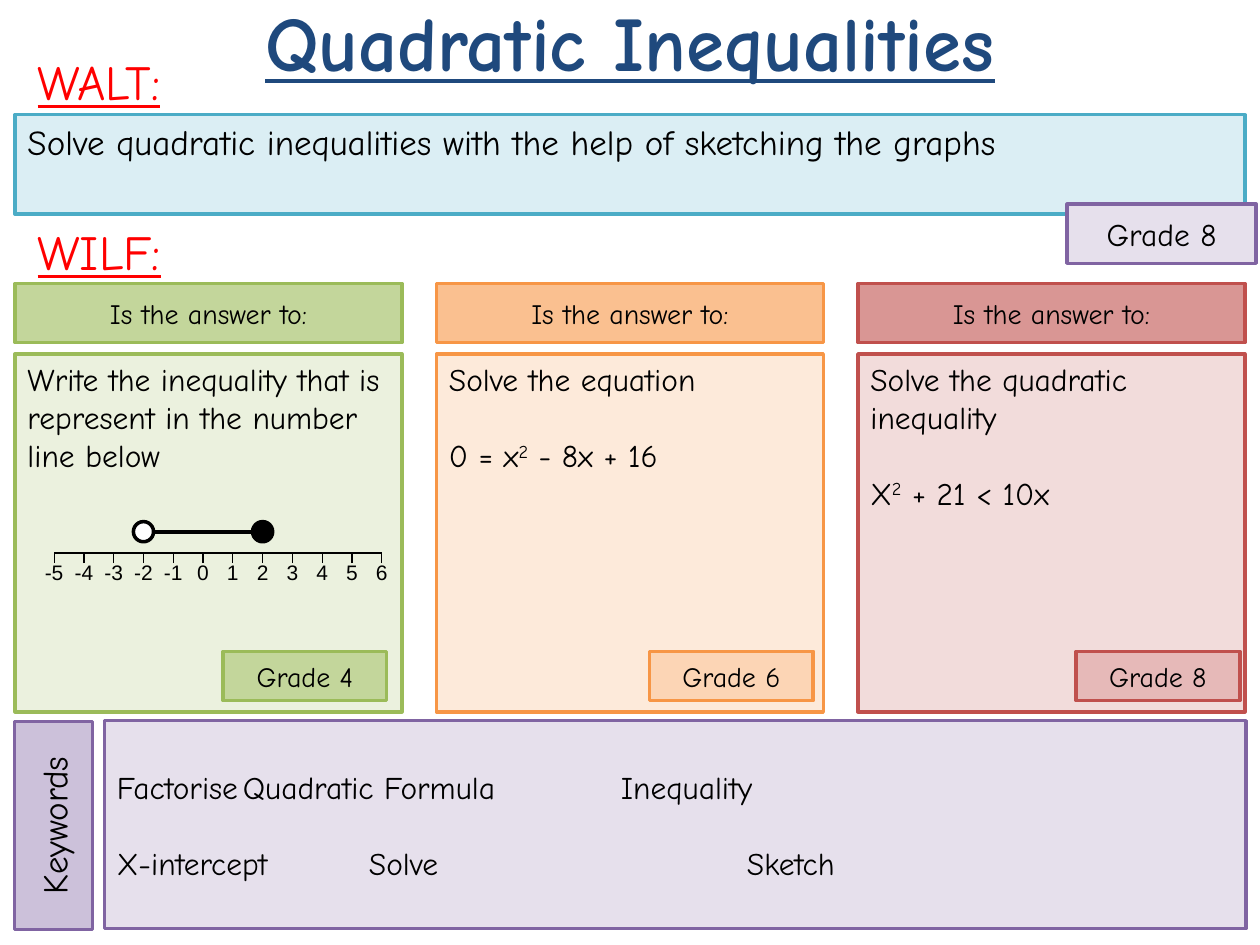
from dataclasses import dataclass

from lxml import etree
from pptx import Presentation
from pptx.dml.color import RGBColor
from pptx.enum.shapes import MSO_CONNECTOR, MSO_SHAPE
from pptx.enum.text import MSO_ANCHOR, PP_ALIGN
from pptx.oxml.ns import qn
from pptx.util import Inches, Pt

RECT, OVAL = MSO_SHAPE.RECTANGLE, MSO_SHAPE.OVAL
STRAIGHT = MSO_CONNECTOR.STRAIGHT
LEFT, CENTER = PP_ALIGN.LEFT, PP_ALIGN.CENTER
TOP, MIDDLE = MSO_ANCHOR.TOP, MSO_ANCHOR.MIDDLE


@dataclass(frozen=True)
class Theme:
    font: str = "Comic Neue"
    number_font: str = "Arial"
    black: str = "000000"
    white: str = "FFFFFF"
    title: str = "1F497D"
    heading: str = "FF0000"
    purple: tuple = ("8064A2", "CCC1DA", "E6E0EC")  # line, dark, light
    aqua: tuple = ("4BACC6", "DBEEF4")  # line, fill
    title_size: int = 44
    heading_size: int = 28
    large: int = 20
    body: int = 18
    small: int = 16
    tick: int = 12
    blank_line: float = 21.7
    border: int = 2


THEME = Theme()

# line, header fill, body fill, badge fill, grade, paragraphs (runs; ^ marks superscript)
PANELS = [
    ("9BBB59", "C3D69B", "EBF1DE", "C3D69B", "Grade 4",
     [["Write the inequality that is represent in the number line below"]]),
    ("F79646", "FAC090", "FDEADA", "FCD5B5", "Grade 6",
     [["Solve the equation"], ["0 = x", "^2", " - 8x + 16"]]),
    ("C0504D", "D99694", "F2DCDB", "E6B9B8", "Grade 8",
     [["Solve the quadratic inequality"], ["X", "^2", " + 21 < 10x"]]),
]
# text and its tab stops in inches
KEYWORDS = [
    ("Factorise\tQuadratic Formula\tInequality", (1, 4)),
    ("X-intercept\tSolve\tSketch", (2, 5)),
]


def rgb(code):
    return RGBColor.from_string(code)


def add_tabs(para, stops):
    tab_list = etree.SubElement(para._p.get_or_add_pPr(), qn("a:tabLst"))
    for stop in stops:
        etree.SubElement(tab_list, qn("a:tab"), pos=str(Inches(stop)), algn="l")


def write(box, paragraphs, size, align=LEFT, anchor=TOP, color=THEME.black,
          font=THEME.font, gap=THEME.blank_line, stops=None):
    """Fill a box with paragraphs, each a list of runs, set apart by gap."""
    frame = box.text_frame
    frame.word_wrap = True
    frame.vertical_anchor = anchor
    for index, runs in enumerate(paragraphs):
        para = frame.add_paragraph() if index else frame.paragraphs[0]
        para.alignment = align
        if index:
            para.space_before = Pt(gap)
        if stops:
            add_tabs(para, stops[index])
        para.font.size = Pt(size)
        para.font.name = font
        para.font.color.rgb = rgb(color)
        for text in runs:
            span = para.add_run()
            span.text = text.removeprefix("^")
            if text.startswith("^"):
                span._r.get_or_add_rPr().set("baseline", "30000")
    return frame


def add_text(shapes, left, top, width, height, paragraphs, size, **style):
    box = shapes.add_textbox(Inches(left), Inches(top), Inches(width), Inches(height))
    return write(box, paragraphs, size, **style)


def add_box(shapes, left, top, width, height, fill, line, kind=RECT):
    box = shapes.add_shape(kind, Inches(left), Inches(top), Inches(width), Inches(height))
    box.shadow.inherit = False
    box.fill.solid()
    box.fill.fore_color.rgb = rgb(fill)
    box.line.color.rgb = rgb(line)
    box.line.width = Pt(THEME.border)
    return box


def add_label(shapes, left, top, width, height, fill, line, text, size):
    box = add_box(shapes, left, top, width, height, fill, line)
    write(box, [[text]], size, align=CENTER, anchor=MIDDLE)
    return box


def add_line(shapes, x1, y1, x2, y2, width):
    line = shapes.add_connector(STRAIGHT, Inches(x1), Inches(y1), Inches(x2), Inches(y2))
    line.line.color.rgb = rgb(THEME.black)
    line.line.width = Pt(width)
    etree.SubElement(line._element.spPr, qn("a:effectLst"))


def add_headings(shapes):
    title = add_text(shapes, 0, -0.03, 10, 0.71, [["Quadratic Inequalities"]],
                     THEME.title_size, align=CENTER, anchor=MIDDLE, color=THEME.title)
    title.paragraphs[0].font.bold = True
    headings = add_text(shapes, 0.2, 0.36, 9.53, 6.77, [["WALT:"], ["WILF:"]],
                        THEME.heading_size, color=THEME.heading, gap=63.5)
    for para in (*title.paragraphs, *headings.paragraphs):
        para.font.underline = True


def add_panel(shapes, index, line, header_fill, body_fill, badge_fill, grade, task):
    left = 0.12 + 3.345 * index
    add_label(shapes, left, 2.25, 3.07, 0.47, header_fill, line,
              "Is the answer to:", THEME.small)
    body = add_box(shapes, left, 2.81, 3.07, 2.84, body_fill, line)
    write(body, task, THEME.body)
    add_label(shapes, 1.77 + 3.385 * index, 5.17, 1.3, 0.39, badge_fill, line,
              grade, THEME.small)


def add_number_line(shapes, first=-5, last=6):
    left, right, axis, dots = 0.43, 3.03, 4.39, 4.22
    step = (right - left) / (last - first)
    scale = shapes.add_group_shape().shapes
    add_line(scale, left, axis, right, axis, 0.75)
    for number in range(first, last + 1):
        x = left + step * (number - first)
        add_line(scale, x, axis + 0.08, x, axis, 0.75)
        add_text(scale, x - 0.235, axis, 0.47, 0.3, [[str(number)]], THEME.tick,
                 align=CENTER, font=THEME.number_font)

    # Interval from the open end to the closed end
    start, end = (left + step * (value - first) for value in (-2, 2))
    add_line(shapes, end, dots, start + 0.08, dots, 2.25)
    for x, fill in ((end, THEME.black), (start, THEME.white)):
        add_box(shapes, x - 0.08, dots - 0.08, 0.16, 0.16, fill, THEME.black, OVAL)


def add_keywords(shapes):
    line, dark, light = THEME.purple
    box = add_box(shapes, 0.83, 5.72, 9.06, 1.65, light, line)
    write(box, [[text] for text, _ in KEYWORDS], THEME.body, anchor=MIDDLE,
          stops=[stops for _, stops in KEYWORDS])
    tag = add_label(shapes, -0.4, 6.24, 1.65, 0.62, dark, line, "Keywords", THEME.large)
    tag.rotation = 270


def main():
    deck = Presentation()
    deck.slide_width, deck.slide_height = Inches(10), Inches(7.5)
    page = deck.slides.add_slide(deck.slide_layouts[6])
    shapes = page.shapes

    add_headings(shapes)

    # Learning objective and its grade
    line, fill = THEME.aqua
    objective = add_box(shapes, 0.12, 0.91, 9.76, 0.79, fill, line)
    write(objective, [["Solve quadratic inequalities with the help of sketching the graphs"]],
          THEME.large)
    line, _, light = THEME.purple
    add_label(shapes, 8.47, 1.62, 1.5, 0.47, light, line, "Grade 8", THEME.body)

    # Success criteria
    for index, panel in enumerate(PANELS):
        add_panel(shapes, index, *panel)
    add_number_line(shapes)

    add_keywords(shapes)
    deck.save("out.pptx")


if __name__ == "__main__":
    main()
